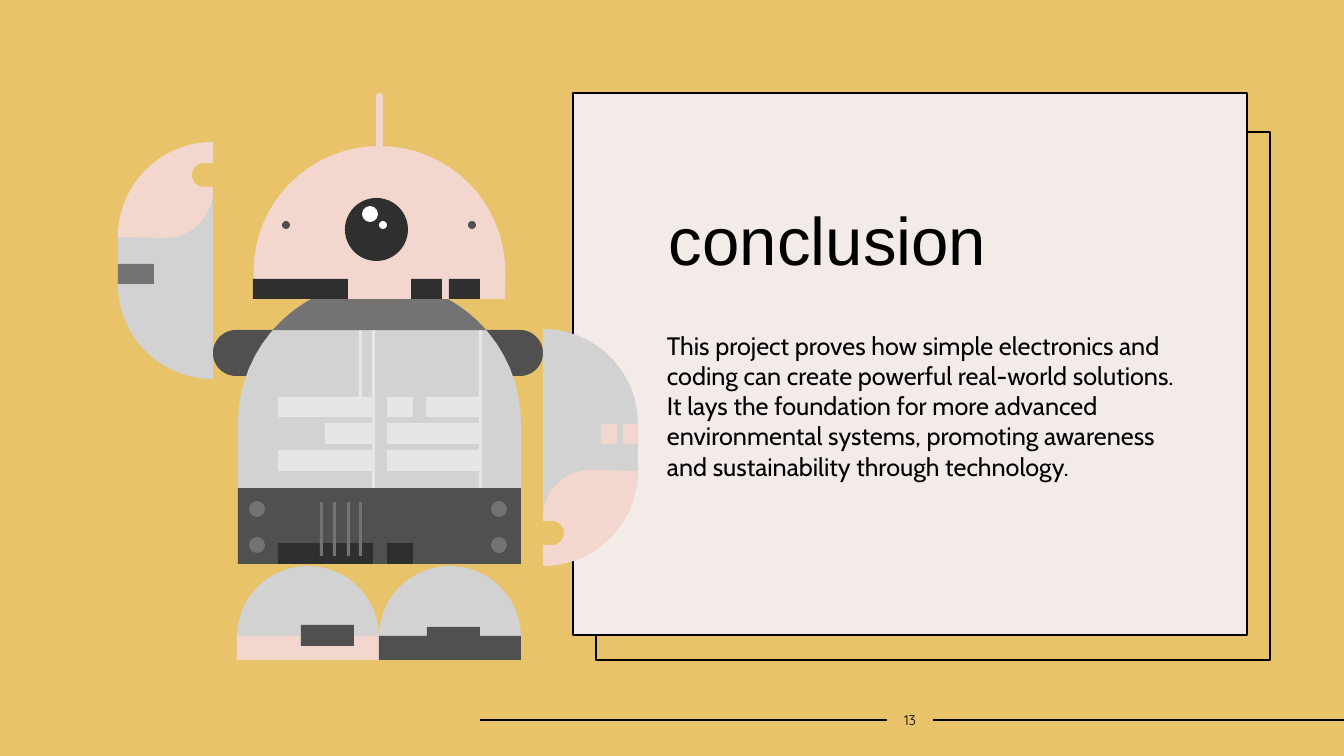
"""Build the closing slide: a waving robot beside a framed conclusion."""
from math import cos, radians, sin

from lxml.etree import SubElement
from pptx import Presentation
from pptx.dml.color import RGBColor
from pptx.enum.shapes import MSO_CONNECTOR, MSO_SHAPE
from pptx.enum.text import MSO_ANCHOR, PP_ALIGN
from pptx.oxml.ns import qn
from pptx.util import Pt

PX = 914400 / 100.8
ARC_STEPS = 32
ARM_TURN = (756, 708)

YELLOW = RGBColor(0xE9, 0xC3, 0x69)
CREAM = RGBColor(0xF3, 0xEB, 0xE8)
BLACK = RGBColor(0x00, 0x00, 0x00)
WHITE = RGBColor(0xFF, 0xFF, 0xFF)
PINK = RGBColor(0xF3, 0xD6, 0xCD)
PALE = RGBColor(0xE6, 0xE6, 0xE6)
SILVER = RGBColor(0xD2, 0xD2, 0xD2)
GREY = RGBColor(0x73, 0x73, 0x73)
SLATE = RGBColor(0x50, 0x50, 0x50)
COAL = RGBColor(0x2F, 0x2F, 0x2F)

RECT, OVAL, PILL = MSO_SHAPE.RECTANGLE, MSO_SHAPE.OVAL, MSO_SHAPE.ROUNDED_RECTANGLE

PANELS = [((596, 132, 674, 528), YELLOW), ((573, 93, 674, 542), CREAM)]
FOOTER_LINES = [(480, 887), (933, 1344)]
FOOTER_Y = 720

TEXTS = [
    dict(text="conclusion", place=(659, 197, 546, 128), margins=(10, 10),
         font="Arial", size=48, spacing=0.9, anchor=MSO_ANCHOR.TOP, align=PP_ALIGN.LEFT),
    dict(text="This project proves how simple electronics and coding can create "
              "powerful real-world solutions. It lays the foundation for more advanced "
              "environmental systems, promoting awareness and sustainability through "
              "technology.",
         place=(657, 325, 531, 235), margins=(10, 5),
         font="Cabin", size=18, spacing=1.0, anchor=MSO_ANCHOR.TOP, align=PP_ALIGN.LEFT),
    dict(text="13", place=(890, 706, 40, 27), margins=(0, 5),
         font="Quicksand", size=10, spacing=1.0, anchor=MSO_ANCHOR.MIDDLE,
         align=PP_ALIGN.CENTER),
]

# An outline holds points (x, y) and arcs (centre x, centre y, radius, from, to).
BODY = [(379.5, 423, 141.5, 180, 360), (521, 488), (238, 488)]
COLLAR = [(379.5, 423, 141.5, 221, 319)]
HEAD = [(379.5, 272, 126, 180, 360), (505, 299), (254, 299)]
LEFT_FOOT = [(308, 637, 71, 180, 360)]
RIGHT_FOOT = [(450, 637, 71, 180, 360)]
ARM = [(543, 424, 95, 270, 360), (591, 471, 47, 0, 90), (543, 518)]
HAND = [(591, 518, 48, 270, 180), (543, 521), (552, 533, 12, 270, 450),
        (543, 545), (543, 566), (543, 471, 95, 90, 0)]

TORSO = [
    (PILL, SLATE, [(213, 330, 120, 46), (449, 330, 94, 46)]),
    ("outline", SILVER, [BODY]),
    (RECT, PALE, [(359, 330, 3, 67), (372, 330, 3, 158), (479, 330, 3, 158)]),
    (RECT, PALE, [(278, 397, 94, 20), (325, 423, 47, 21), (278, 450, 94, 21)]),
    (RECT, PALE, [(387, 397, 26, 20), (426, 397, 53, 20),
                  (387, 423, 92, 21), (387, 450, 92, 21)]),
    (RECT, SLATE, [(238, 488, 283, 76)]),
    (RECT, COAL, [(278, 543, 95, 21), (387, 543, 26, 21)]),
    (OVAL, GREY, [(x, y, 16, 16) for x in (249, 491) for y in (501, 537)]),
    (RECT, GREY, [(x, 502, 3, 54) for x in (320, 333, 347, 359)]),
    ("outline", GREY, [COLLAR]),
]
ARMS = [
    ("pair", SILVER, [ARM]),
    ("pair", PINK, [HAND]),
    (RECT, PINK, [(601, 424, 16, 20), (623, 424, 15, 20)]),
    (RECT, GREY, [(118, 264, 36, 20)]),
]
FEET = [
    ("outline", SILVER, [LEFT_FOOT, RIGHT_FOOT]),
    (RECT, PINK, [(237, 636, 142, 24)]),
    (RECT, SLATE, [(379, 636, 142, 24), (427, 627, 53, 20), (301, 625, 53, 21)]),
]
FACE = [
    ("outline", PINK, [HEAD]),
    (OVAL, SLATE, [(282, 221, 8, 8), (468, 221, 8, 8)]),
    (OVAL, COAL, [(345, 198, 63, 63)]),
    (OVAL, WHITE, [(379, 221, 8, 8), (362, 206, 16, 16)]),
    (RECT, COAL, [(253, 279, 95, 20), (411, 279, 31, 20), (449, 279, 31, 20)]),
    (PILL, PINK, [(376, 93, 7, 61)]),
]


def emu(*lengths):
    return [round(length * PX) for length in lengths]


def trace(outline):
    points = []
    for step in outline:
        if len(step) == 2:
            points.append(step)
            continue
        x, y, radius, start, end = step
        for index in range(ARC_STEPS + 1):
            angle = radians(start + (end - start) * index / ARC_STEPS)
            points.append((x + radius * cos(angle), y + radius * sin(angle)))
    return points


def paint(shape, colour):
    shape.shadow.inherit = False
    shape.fill.solid()
    shape.fill.fore_color.rgb = colour
    shape.line.fill.background()


def add_outline(page, points, colour):
    corners = [tuple(emu(*point)) for point in points]
    builder = page.shapes.build_freeform(*corners[0], scale=1.0)
    builder.add_line_segments(corners[1:], close=True)
    paint(builder.convert_to_shape(), colour)


def add_preset(page, kind, place, colour):
    shape = page.shapes.add_shape(kind, *emu(*place))
    paint(shape, colour)
    if kind == PILL:
        shape.adjustments[0] = 0.5
    return shape


def add_parts(page, parts):
    for kind, colour, places in parts:
        for place in places:
            if kind not in ("outline", "pair"):
                add_preset(page, kind, place, colour)
                continue
            points = trace(place)
            add_outline(page, points, colour)
            if kind == "pair":
                turn_x, turn_y = ARM_TURN
                add_outline(page, [(turn_x - x, turn_y - y) for x, y in points], colour)


def add_text(page, text, place, margins, font, size, spacing, anchor, align):
    box = page.shapes.add_textbox(*emu(*place))
    frame = box.text_frame
    frame.word_wrap = True
    frame.vertical_anchor = anchor
    frame.margin_left, frame.margin_top = emu(*margins)
    frame.margin_right, frame.margin_bottom = emu(*margins)
    para = frame.paragraphs[0]
    para.alignment = align
    para.line_spacing = spacing
    span = para.add_run()
    span.text = text
    span.font.name = font
    span.font.size = Pt(size)
    span.font.color.rgb = BLACK


def main():
    deck = Presentation()
    deck.slide_width, deck.slide_height = emu(1344, 756)
    page = deck.slides.add_slide(deck.slide_layouts[6])
    page.background.fill.solid()
    page.background.fill.fore_color.rgb = YELLOW

    for place, colour in PANELS:
        panel = add_preset(page, RECT, place, colour)
        panel.line.color.rgb = BLACK
        panel.line.width = Pt(2)
    for start, end in FOOTER_LINES:
        rule = page.shapes.add_connector(
            MSO_CONNECTOR.STRAIGHT, *emu(start, FOOTER_Y, end, FOOTER_Y))
        rule.line.color.rgb = BLACK
        rule.line.width = Pt(1)
        SubElement(rule._element.spPr, qn("a:effectLst"))
    for entry in TEXTS:
        add_text(page, **entry)
    for parts in (TORSO, ARMS, FEET, FACE):
        add_parts(page, parts)

    deck.save("out.pptx")


if __name__ == "__main__":
    main()
